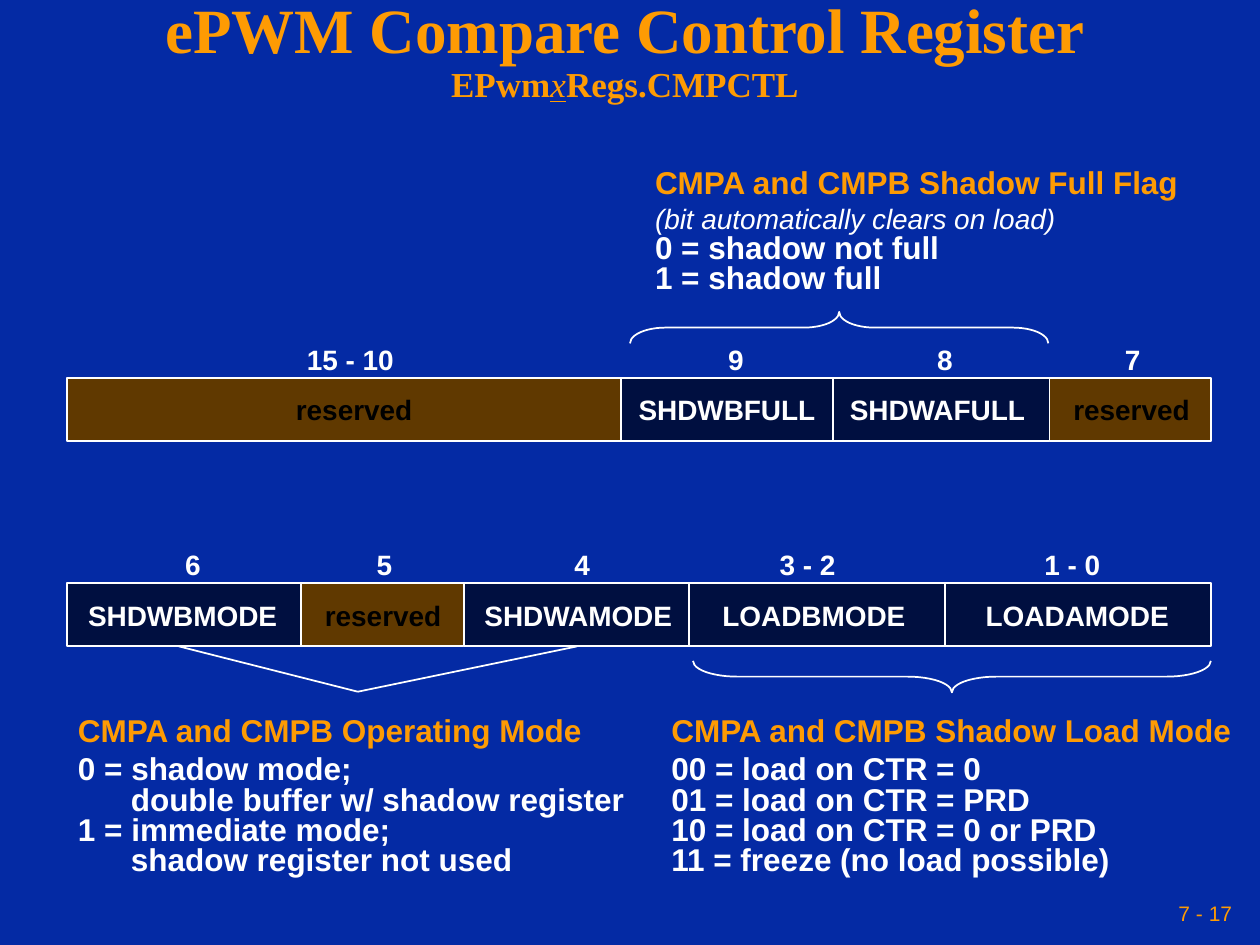
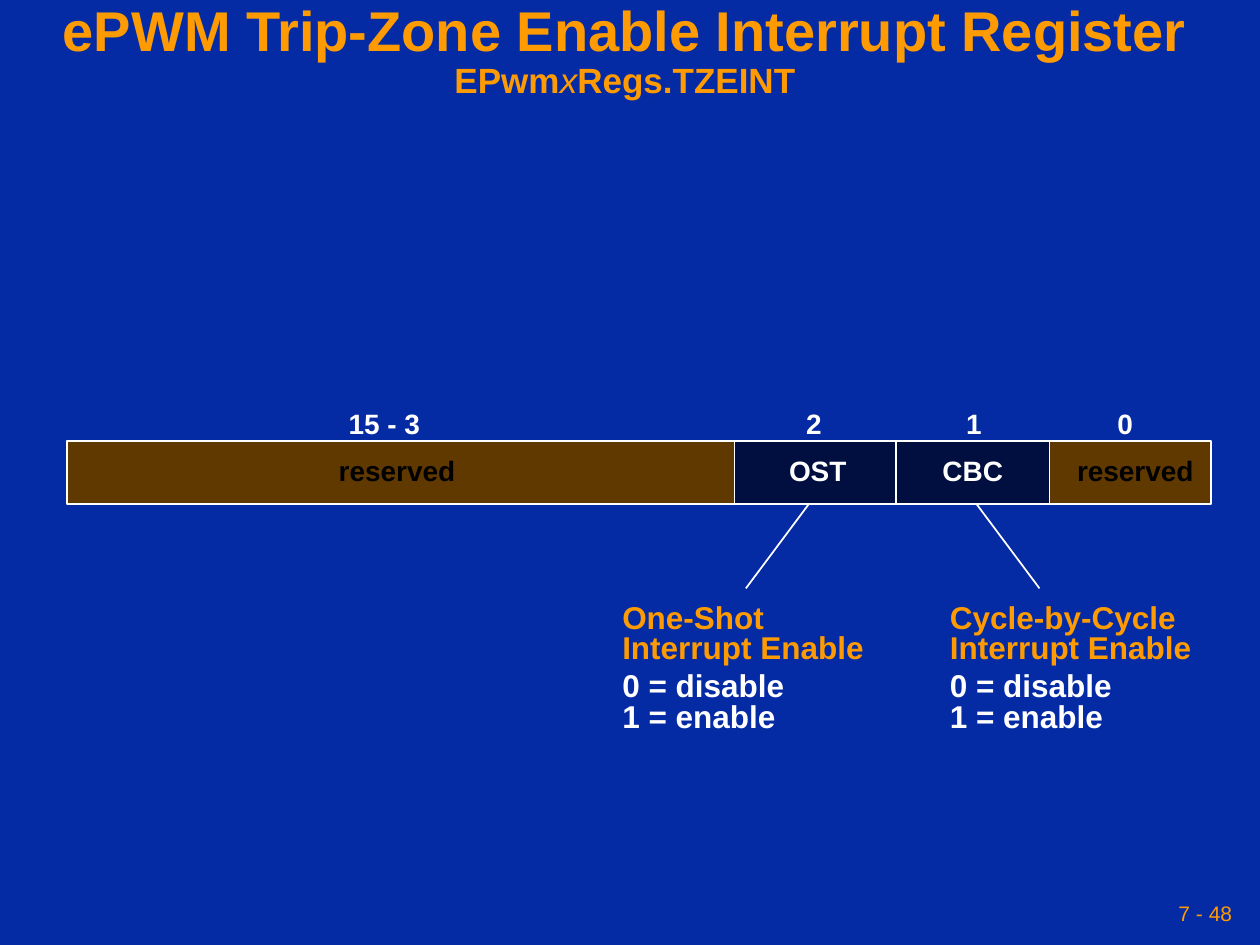
from lxml import etree
from pptx import Presentation
from pptx.dml.color import RGBColor
from pptx.enum.shapes import MSO_CONNECTOR, MSO_SHAPE
from pptx.enum.text import MSO_ANCHOR, MSO_AUTO_SIZE, PP_ALIGN
from pptx.oxml.ns import qn
from pptx.util import Inches, Pt

RECTANGLE, BRACE = MSO_SHAPE.RECTANGLE, MSO_SHAPE.LEFT_BRACE
STRAIGHT = MSO_CONNECTOR.STRAIGHT
TOP, MIDDLE = MSO_ANCHOR.TOP, MSO_ANCHOR.MIDDLE
LEFT, CENTER, RIGHT = PP_ALIGN.LEFT, PP_ALIGN.CENTER, PP_ALIGN.RIGHT
NO_FIT = MSO_AUTO_SIZE.NONE

BLUE = RGBColor(0x04, 0x2A, 0xA4)
NAVY = RGBColor(0x00, 0x0F, 0x40)
BROWN = RGBColor(0x60, 0x39, 0x00)
ORANGE = RGBColor(0xFE, 0x9B, 0x03)
WHITE = RGBColor(0xFF, 0xFF, 0xFF)
BLACK = RGBColor(0x00, 0x00, 0x00)

FIELD_HEIGHT = 0.5
LABEL_HEIGHT = 0.32
BRACE_DEPTH = 0.25
INDENT = 0.42

# Register fields: bits, centre of bits, name, centre of name, left, right
# Notes: box, headings, then lines of (text, style)
SLIDES = [
    {
        "title": "ePWM Compare Control Register",
        "font": "Times New Roman", "size": 36,
        "register": "CMPCTL", "underline": True, "number": "7 - 17",
        "rows": [
            {"top": 3, "bits_rise": 0.28, "name_drop": 0.12, "fields": [
                ("15 - 10", 2.78, "reserved", 2.81, 0.53, 4.93),
                ("9", 5.84, "SHDWBFULL", 5.77, 4.93, 6.61),
                ("8", 7.5, "SHDWAFULL", 7.44, 6.61, 8.33),
                ("7", 8.99, "reserved", 8.98, 8.33, 9.61)]},
            {"top": 4.63, "bits_rise": 0.28, "name_drop": 0.12, "fields": [
                ("6", 1.53, "SHDWBMODE", 1.45, 0.53, 2.39),
                ("5", 3.05, "reserved", 3.04, 2.39, 3.68),
                ("4", 4.62, "SHDWAMODE", 4.59, 3.68, 5.47),
                ("3 - 2", 6.41, "LOADBMODE", 6.46, 5.47, 7.5),
                ("1 - 0", 8.51, "LOADAMODE", 8.55, 7.5, 9.61)]},
        ],
        "notes": [
            ((0.52, 5.65, 4.65, 1.37), ["CMPA and CMPB Operating Mode"], [
                ("0 = shadow mode;", "plain"),
                ("double buffer w/ shadow register", "indented"),
                ("1 = immediate mode;", "plain"),
                ("shadow register not used", "indented")]),
            ((5.23, 5.65, 4.72, 1.37), ["CMPA and CMPB Shadow Load Mode"], [
                ("00 = load on CTR = 0", "plain"),
                ("01 = load on CTR = PRD", "plain"),
                ("10 = load on CTR = 0 or PRD", "plain"),
                ("11 = freeze (no load possible)", "plain")]),
            ((5.1, 1.3, 4.45, 1.1), ["CMPA and CMPB Shadow Full Flag"], [
                ("(bit automatically clears on load)", "remark"),
                ("0 = shadow not full", "plain"),
                ("1 = shadow full", "plain")]),
        ],
        "pointers": [(1.42, 5.13, 2.84, 5.49), (4.58, 5.13, 2.84, 5.49)],
        # left, right, centre height, rotation, curve length
        "braces": [(5, 8.32, 2.6, 90, 0.28), (5.5, 9.61, 5.37, 270, 0.35)],
    },
    {
        "title": "ePWM Trip-Zone Enable Interrupt Register",
        "font": "Arial", "size": 32,
        "register": "TZEINT", "underline": False, "number": "7 - 48",
        "rows": [
            {"top": 3.5, "bits_rise": 0.27, "name_drop": 0.1, "fields": [
                ("15 - 3", 3.05, "reserved", 3.15, 0.53, 5.83),
                ("2", 6.46, "OST", 6.49, 5.83, 7.11),
                ("1", 7.73, "CBC", 7.72, 7.11, 8.33),
                ("0", 8.93, "reserved", 9.01, 8.33, 9.61)]},
        ],
        "notes": [
            ((left, 4.75, 2.25, 1.13), [heading, "Interrupt Enable"],
             [("0 = disable", "plain"), ("1 = enable", "plain")])
            for left, heading in ((4.84, "One-Shot"), (7.44, "Cycle-by-Cycle"))
        ],
        "pointers": [(6.42, 4, 5.92, 4.67), (7.75, 4, 8.25, 4.67)],
        "braces": [],
    },
]


def add_text_box(slide, box, anchor, side_margin=0.1):
    frame = slide.shapes.add_textbox(*map(Inches, box)).text_frame
    frame.word_wrap, frame.auto_size = True, NO_FIT
    frame.vertical_anchor = anchor
    frame.margin_left = frame.margin_right = Inches(side_margin)
    frame.margin_top = frame.margin_bottom = Inches(0.05)
    return frame


def add_run(paragraph, text, size, color, bold=True, italic=False, font="Arial"):
    run = paragraph.add_run()
    run.text = text
    run.font.name, run.font.size = font, Pt(size)
    run.font.bold, run.font.italic = bold, italic
    run.font.color.rgb = color
    return run


def add_title(slide, content):
    frame = add_text_box(slide, (0, 0, 9.92, 0.83), MIDDLE, 0.05)
    paragraph = frame.paragraphs[0]
    paragraph.alignment, paragraph.line_spacing = CENTER, 0.9
    font = content["font"]
    add_run(paragraph, content["title"], content["size"], ORANGE, font=font)
    paragraph.add_line_break()
    add_run(paragraph, "EPwm", 20, ORANGE, font=font)
    variable = add_run(paragraph, "x", 20, ORANGE, False, True, font)
    variable.font.underline = content["underline"]
    add_run(paragraph, "Regs." + content["register"], 20, ORANGE, font=font)


def add_page_number(slide, number):
    frame = add_text_box(slide, (6.83, 7.08, 3, 0.33), MIDDLE, 0.05)
    frame.paragraphs[0].alignment = RIGHT
    add_run(frame.paragraphs[0], number, 12, ORANGE, bold=False)


def label_width(text):
    """Room for one line of bold 16 point text and its margins."""
    return 0.25 + sum(0.18 if letter.isupper() else 0.13 if letter.isalnum() else 0.08
                      for letter in text)


def add_label(slide, text, center, top, color):
    width = label_width(text)
    frame = add_text_box(slide, (center - width / 2, top, width, LABEL_HEIGHT), TOP)
    paragraph = frame.paragraphs[0]
    paragraph.alignment, paragraph.line_spacing = CENTER, 0.8
    add_run(paragraph, text, 16, color)


def add_register_row(slide, row):
    top = row["top"]
    for bits, bits_center, name, name_center, left, right in row["fields"]:
        reserved = name == "reserved"
        field = slide.shapes.add_shape(
            RECTANGLE, *map(Inches, (left, top, right - left, FIELD_HEIGHT)))
        field.shadow.inherit = False
        field.fill.solid()
        field.fill.fore_color.rgb = BROWN if reserved else NAVY
        field.line.color.rgb, field.line.width = WHITE, Pt(1)
        add_label(slide, bits, bits_center, top - row["bits_rise"], WHITE)
        add_label(slide, name, name_center, top + row["name_drop"],
                  BLACK if reserved else WHITE)


def add_note(slide, box, headings, lines):
    frame = add_text_box(slide, box, MIDDLE)
    entries = [(heading, "heading") for heading in headings] + lines
    for index, (text, style) in enumerate(entries):
        paragraph = frame.add_paragraph() if index else frame.paragraphs[0]
        paragraph.alignment, paragraph.line_spacing = LEFT, 0.8
        if index == len(headings) - 1:
            paragraph.space_after = Pt(4.5)
        if style == "indented":
            paragraph._p.get_or_add_pPr().set("marL", str(Inches(INDENT)))
        remark = style == "remark"
        add_run(paragraph, text, 16 if remark else 18,
                ORANGE if style == "heading" else WHITE, not remark, remark)


def add_pointer(slide, *ends):
    pointer = slide.shapes.add_connector(STRAIGHT, *map(Inches, ends))
    pointer.line.color.rgb, pointer.line.width = WHITE, Pt(1)
    etree.SubElement(pointer._element.spPr, qn("a:effectLst"))


def add_brace(slide, left, right, middle, rotation, curve):
    # The brace is upright before rotation, so its height is the span
    span = right - left
    box = ((left + right - BRACE_DEPTH) / 2, middle - span / 2, BRACE_DEPTH, span)
    brace = slide.shapes.add_shape(BRACE, *map(Inches, box))
    brace.rotation = rotation
    brace.adjustments[0] = curve / BRACE_DEPTH
    brace.shadow.inherit = False
    brace.fill.background()
    brace.line.color.rgb, brace.line.width = WHITE, Pt(1)


def main():
    presentation = Presentation()
    presentation.slide_width, presentation.slide_height = Inches(10), Inches(7.5)
    for content in SLIDES:
        slide = presentation.slides.add_slide(presentation.slide_layouts[6])
        slide.background.fill.solid()
        slide.background.fill.fore_color.rgb = BLUE
        add_page_number(slide, content["number"])
        add_title(slide, content)
        for row in content["rows"]:
            add_register_row(slide, row)
        for note in content["notes"]:
            add_note(slide, *note)
        for pointer in content["pointers"]:
            add_pointer(slide, *pointer)
        for brace in content["braces"]:
            add_brace(slide, *brace)
    presentation.save("out.pptx")


if __name__ == "__main__":
    main()
